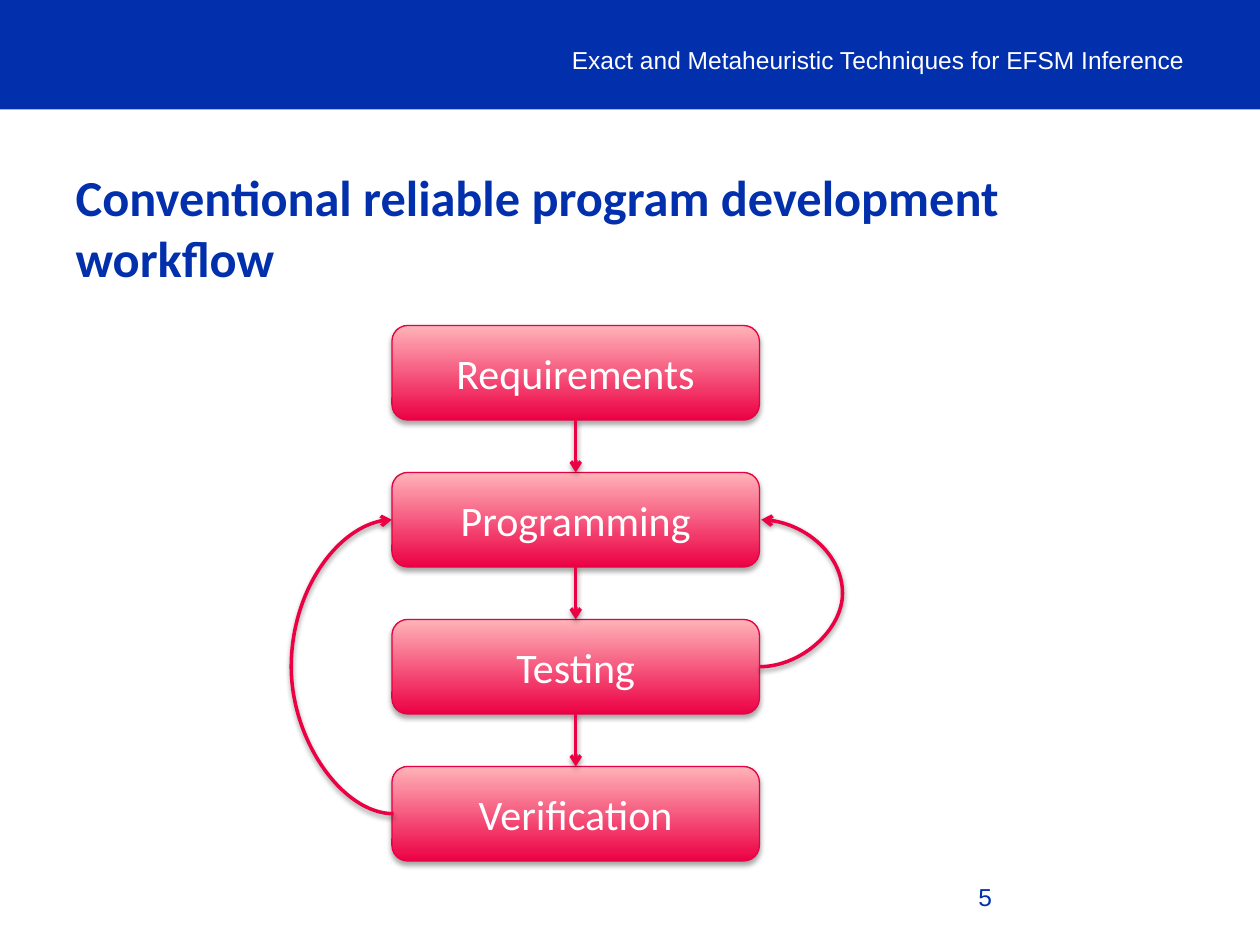
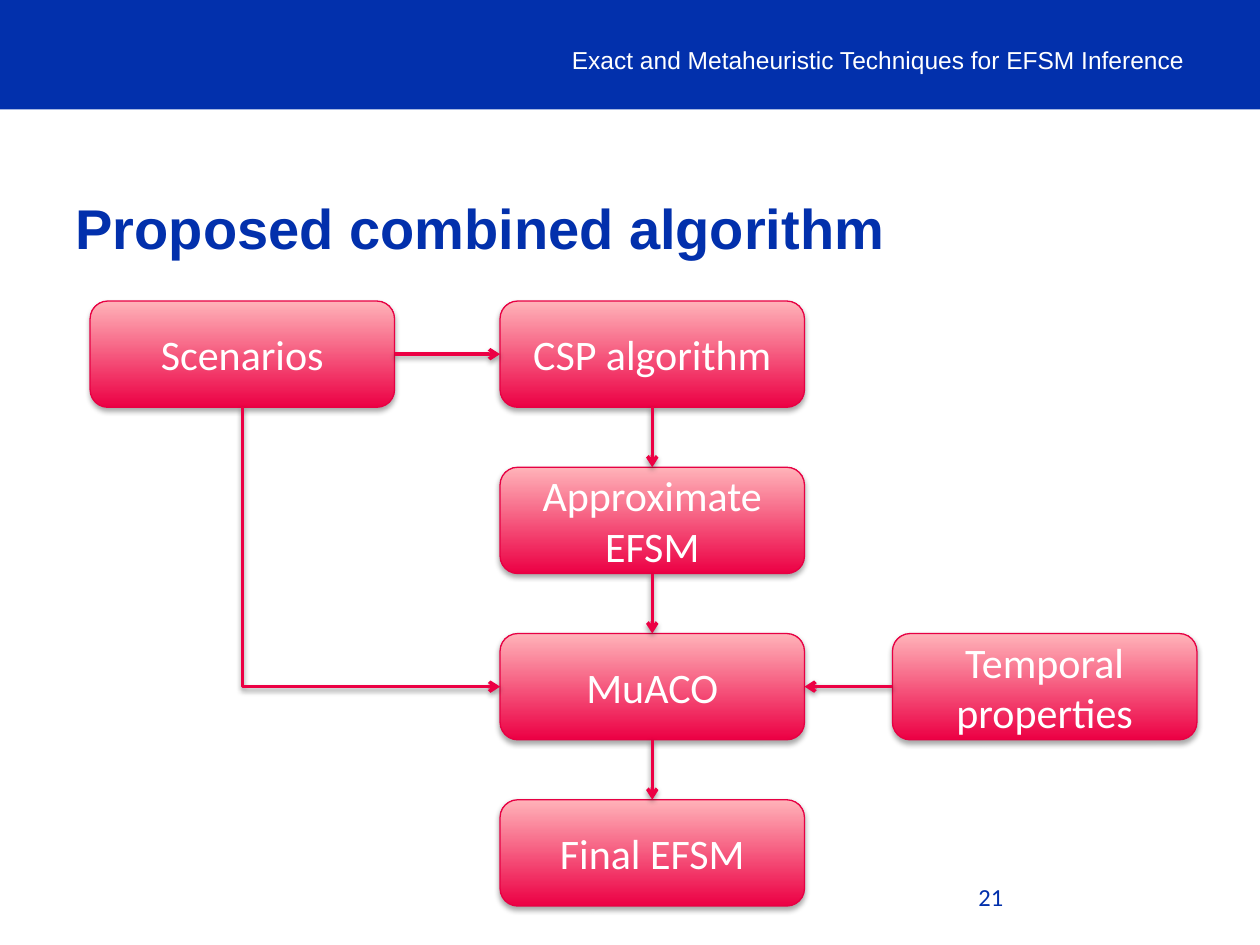
from dataclasses import dataclass

from lxml.etree import SubElement
from pptx import Presentation
from pptx.dml.color import RGBColor
from pptx.enum.shapes import MSO_CONNECTOR, MSO_SHAPE
from pptx.enum.text import MSO_ANCHOR, MSO_AUTO_SIZE, PP_ALIGN
from pptx.oxml.ns import qn
from pptx.shapes.autoshape import Shape
from pptx.shapes.connector import Connector
from pptx.slide import Slide
from pptx.util import Pt

COLORS = {
    "blue": "0230AC",
    "white": "FFFFFF",
    "red": "EC0044",
    "pink": "FFB3B9",
    "outline": "E70043",
    "shadow": "000000",
}
HEADER = "Exact and Metaheuristic Techniques for EFSM Inference"
TOP, LEFT, BOTTOM, RIGHT = range(4)


@dataclass(frozen=True)
class Box:
    text: str
    left: float
    top: float
    width: float
    height: float


@dataclass(frozen=True)
class Arrow:
    start: str
    start_side: int
    end: str
    end_side: int


@dataclass(frozen=True)
class Loop:
    """A curved arrow going back up, one point wide between its ends."""
    x1: float
    y1: float
    x2: float
    y2: float
    bulge: float


def rgb(name: str) -> RGBColor:
    return RGBColor.from_string(COLORS[name])


def set_text(sp: Shape, text: str, size: float, color: str, font: str,
             align: PP_ALIGN = PP_ALIGN.LEFT, anchor: MSO_ANCHOR = MSO_ANCHOR.MIDDLE,
             bold: bool = False) -> None:
    tf = sp.text_frame
    tf.text = text
    tf.word_wrap = True
    tf.auto_size = MSO_AUTO_SIZE.NONE
    tf.vertical_anchor = anchor
    p = tf.paragraphs[0]
    p.alignment = align
    p.font.size = Pt(size)
    p.font.name = font
    p.font.bold = bold
    p.font.color.rgb = rgb(color)


def add_shadow(sp: Shape | Connector, distance: float, opacity: int) -> None:
    effects = SubElement(sp._element.spPr, qn("a:effectLst"))
    shadow = SubElement(effects, qn("a:outerShdw"), blurRad=str(Pt(3.1)),
                        dist=str(Pt(distance)), dir="5400000", rotWithShape="0")
    color = SubElement(shadow, qn("a:srgbClr"), val=COLORS["shadow"])
    SubElement(color, qn("a:alpha"), val=str(opacity * 1000))


def add_frame(prs: Presentation, title: str, title_size: float, title_font: str,
              number: str, number_font: str) -> Slide:
    """Add a slide with its header band, title and page number."""
    s = prs.slides.add_slide(prs.slide_layouts[5])
    band = s.shapes.add_shape(MSO_SHAPE.RECTANGLE, 0, 0, prs.slide_width, Pt(62.5))
    band.shadow.inherit = False
    band.fill.solid()
    band.fill.fore_color.rgb = rgb("blue")
    band.line.fill.background()

    head = s.shapes.title
    head.left, head.top, head.width, head.height = Pt(36), Pt(97.2), Pt(648), Pt(64.8)
    set_text(head, title, title_size, "blue", title_font, bold=True)

    header = s.shapes.add_textbox(Pt(317.5), Pt(19.5), Pt(366.5), Pt(29))
    set_text(header, HEADER, 14, "white", "Arial", PP_ALIGN.RIGHT)
    page = s.shapes.add_textbox(Pt(552), Pt(500.4), Pt(168), Pt(29))
    set_text(page, number, 14, "blue", number_font, anchor=MSO_ANCHOR.TOP)
    return s


def add_box(s: Slide, box: Box) -> Shape:
    sp = s.shapes.add_shape(MSO_SHAPE.ROUNDED_RECTANGLE, Pt(box.left), Pt(box.top),
                            Pt(box.width), Pt(box.height))
    sp.fill.gradient()
    sp.fill.gradient_angle = 90
    for stop, color in zip(sp.fill.gradient_stops, ("red", "pink")):
        stop.color.rgb = rgb(color)
    sp.line.color.rgb = rgb("outline")
    sp.line.width = Pt(0.75)
    add_shadow(sp, 1.8, 35)
    set_text(sp, box.text, 24, "white", "Calibri", PP_ALIGN.CENTER)
    return sp


def style_arrow(cx: Connector) -> None:
    cx.line.color.rgb = rgb("red")
    cx.line.width = Pt(2)
    SubElement(cx.line._get_or_add_ln(), qn("a:tailEnd"), type="arrow")
    add_shadow(cx, 1.6, 38)


def turn_down_then_right(cx: Connector) -> None:
    """Make an elbow leave downwards and turn once, keeping its ends."""
    left, top, width, height = cx.left, cx.top, cx.width, cx.height
    cx.left, cx.top = left + (width - height) // 2, top + (height - width) // 2
    cx.width, cx.height = height, width
    sp_pr = cx._element.spPr
    sp_pr.find(qn("a:prstGeom")).set("prst", "bentConnector2")
    xfrm = sp_pr.find(qn("a:xfrm"))
    xfrm.set("rot", "16200000")
    xfrm.set("flipH", "1")


def add_arrow(s: Slide, boxes: dict[str, Shape], arrow: Arrow) -> None:
    bent = (arrow.start_side, arrow.end_side) == (BOTTOM, LEFT)
    kind = MSO_CONNECTOR.ELBOW if bent else MSO_CONNECTOR.STRAIGHT
    cx = s.shapes.add_connector(kind, 0, 0, 0, 0)
    cx.begin_connect(boxes[arrow.start], arrow.start_side)
    cx.end_connect(boxes[arrow.end], arrow.end_side)
    if bent:
        turn_down_then_right(cx)
    style_arrow(cx)


def add_loop(s: Slide, loop: Loop) -> None:
    cx = s.shapes.add_connector(MSO_CONNECTOR.CURVE, Pt(loop.x1), Pt(loop.y1),
                                Pt(loop.x2), Pt(loop.y2))
    adjust = round(loop.bulge / abs(loop.x2 - loop.x1) * 100000)
    guides = cx._element.spPr.find(qn("a:prstGeom")).get_or_add_avLst()
    SubElement(guides, qn("a:gd"), name="adj1", fmla=f"val {adjust}")
    style_arrow(cx)


def add_flow(s: Slide, boxes: list[Box], arrows: list[Arrow]) -> None:
    shapes = {box.text: add_box(s, box) for box in boxes}
    for arrow in arrows:
        add_arrow(s, shapes, arrow)


def column(texts: list[str], left: float, top: float, width: float, height: float,
           pitch: float) -> list[Box]:
    return [Box(text, left, top + i * pitch, width, height) for i, text in enumerate(texts)]


def chain(texts: list[str]) -> list[Arrow]:
    return [Arrow(a, BOTTOM, b, TOP) for a, b in zip(texts, texts[1:])]


def build_workflow(prs: Presentation) -> None:
    s = add_frame(prs, "Conventional reliable program development workflow",
                  28.8, "Calibri", "5", "Arial")
    steps = ["Requirements", "Programming", "Testing", "Verification"]
    boxes = column(steps, 224, 186, 210, 54, 84)
    add_flow(s, boxes, chain(steps))
    _, programming, testing, verification = [box.top + box.height / 2 for box in boxes]
    add_loop(s, Loop(225, verification, 224, programming, 59))
    add_loop(s, Loop(434, testing, 435, programming, 47.8))


def build_algorithm(prs: Presentation) -> None:
    s = add_frame(prs, "Proposed combined algorithm", 32, "Arial", "21", "Calibri")
    steps = ["CSP algorithm", "Approximate EFSM", "MuACO", "Final EFSM"]
    width, height, top, pitch = 174, 60.75, 172, 95
    boxes = column(steps, 285.75, top, width, height, pitch)
    boxes += [
        Box("Scenarios", 51.5, top, width, height),
        Box("Temporal properties", 510, top + 2 * pitch, width, height),
    ]
    arrows = chain(steps) + [
        Arrow("Scenarios", RIGHT, "CSP algorithm", LEFT),
        Arrow("Temporal properties", LEFT, "MuACO", RIGHT),
        Arrow("Scenarios", BOTTOM, "MuACO", LEFT),
    ]
    add_flow(s, boxes, arrows)


def main() -> None:
    prs = Presentation()
    prs.slide_width, prs.slide_height = Pt(720), Pt(540)
    build_workflow(prs)
    build_algorithm(prs)
    prs.save("out.pptx")


if __name__ == "__main__":
    main()
